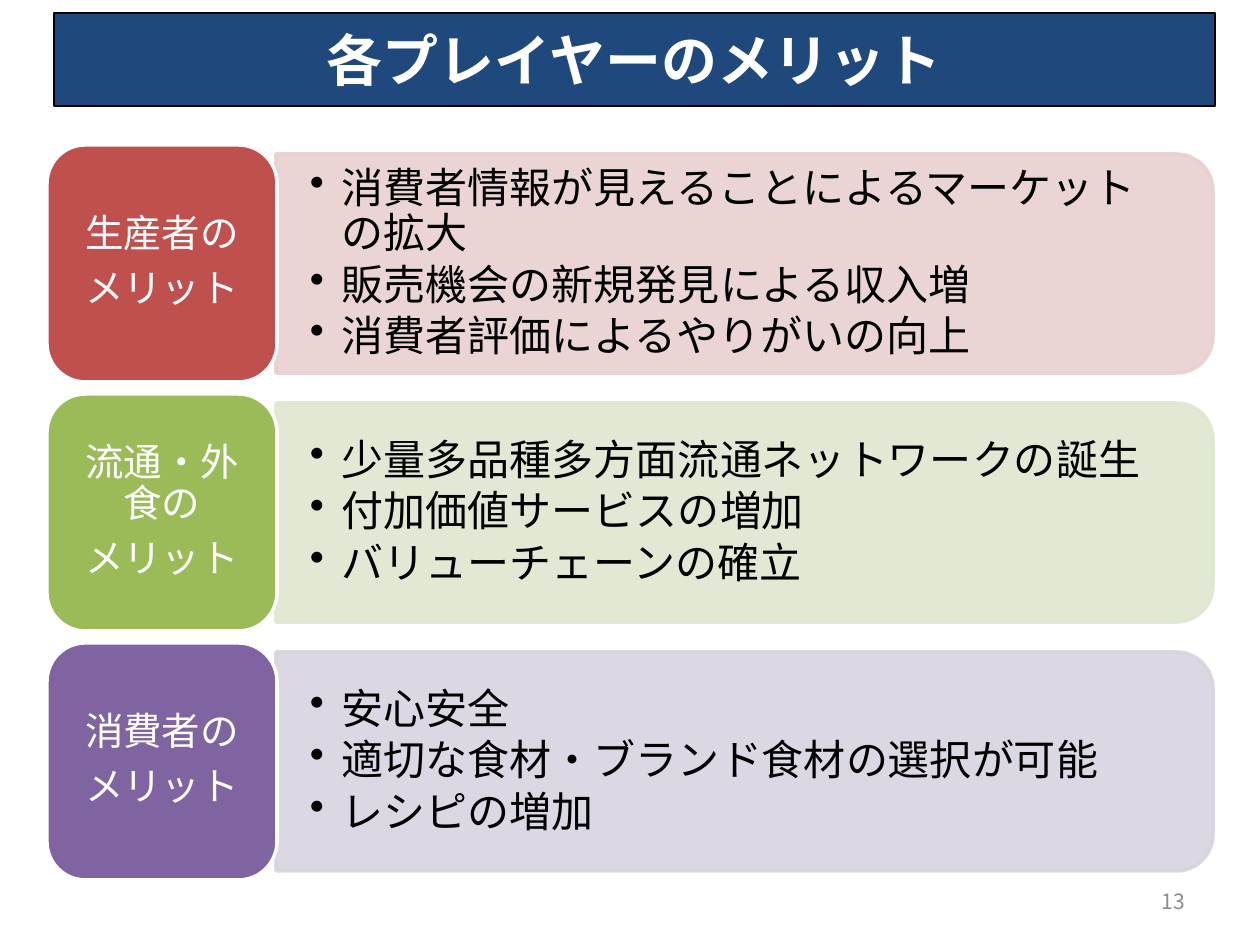
from dataclasses import dataclass

from lxml import etree
from pptx import Presentation
from pptx.dml.color import RGBColor
from pptx.enum.shapes import MSO_SHAPE
from pptx.enum.text import MSO_ANCHOR, PP_ALIGN
from pptx.oxml.ns import qn
from pptx.util import Emu, Pt

EMU_PER_PX = 914400 / 126
FONT = "Noto Sans CJK JP"
WHITE = RGBColor(0xFF, 0xFF, 0xFF)
BLACK = RGBColor(0x00, 0x00, 0x00)
GRAY = RGBColor(0x8C, 0x8C, 0x8C)
NAVY = RGBColor(0x1F, 0x49, 0x7D)
RED = RGBColor(0xC0, 0x50, 0x4D)
PALE_RED = RGBColor(0xE8, 0xD0, 0xD0)
GREEN = RGBColor(0x9B, 0xBB, 0x59)
PALE_GREEN = RGBColor(0xDE, 0xE7, 0xD1)
PURPLE = RGBColor(0x80, 0x64, 0xA2)
PALE_PURPLE = RGBColor(0xD8, 0xD3, 0xE0)

RECT = MSO_SHAPE.RECTANGLE
ROUNDED = MSO_SHAPE.ROUNDED_RECTANGLE
ROUND_TOP = MSO_SHAPE.ROUND_2_SAME_RECTANGLE
MIDDLE = MSO_ANCHOR.MIDDLE
LEFT, CENTER, RIGHT = PP_ALIGN.LEFT, PP_ALIGN.CENTER, PP_ALIGN.RIGHT

FIRST_ROW_TOP = 145
ROW_PITCH = 249
BULLET_INDENT = 32


@dataclass(frozen=True)
class Box:
    left: int
    top: int
    width: int
    height: int

    def emu(self) -> list[Emu]:
        return [px(v) for v in (self.left, self.top, self.width, self.height)]


@dataclass(frozen=True)
class TextStyle:
    size: int
    color: RGBColor
    align: PP_ALIGN = LEFT
    bold: bool = False
    line_spacing: float = 1.0
    space_after: float = 0
    bulleted: bool = False
    inset_x: int = 12
    inset_y: int = 6


@dataclass(frozen=True)
class Player:
    label: list[str]
    merits: list[str]
    color: RGBColor
    pale: RGBColor


TITLE = TextStyle(32, WHITE, CENTER, bold=True)
PAGE_NUMBER = TextStyle(12, GRAY, RIGHT)
LABEL = TextStyle(22, WHITE, CENTER, line_spacing=0.9, space_after=7.7)
MERITS = TextStyle(24, BLACK, line_spacing=0.9, space_after=3.6,
                   bulleted=True, inset_x=34, inset_y=18)

PLAYERS = [
    Player(["生産者の", "メリット"],
           ["消費者情報が見えることによるマーケットの拡大",
            "販売機会の新規発見による収入増",
            "消費者評価によるやりがいの向上"], RED, PALE_RED),
    Player(["流通・外食の", "メリット"],
           ["少量多品種多方面流通ネットワークの誕生",
            "付加価値サービスの増加",
            "バリューチェーンの確立"], GREEN, PALE_GREEN),
    Player(["消費者の", "メリット"],
           ["安心安全",
            "適切な食材・ブランド食材の選択が可能",
            "レシピの増加"], PURPLE, PALE_PURPLE),
]


def px(value: float) -> Emu:
    return Emu(round(value * EMU_PER_PX))


def add_bullet(paragraph) -> None:
    properties = paragraph._p.get_or_add_pPr()
    properties.set("marL", str(px(BULLET_INDENT)))
    properties.set("indent", str(-px(BULLET_INDENT)))
    etree.SubElement(properties, qn("a:buChar")).set("char", "•")


def write(shape, lines: list[str], style: TextStyle) -> None:
    frame = shape.text_frame
    frame.word_wrap = True
    frame.vertical_anchor = MIDDLE
    frame.margin_left = frame.margin_right = px(style.inset_x)
    frame.margin_top = frame.margin_bottom = px(style.inset_y)
    frame.text = "\n".join(lines)
    for paragraph in frame.paragraphs:
        paragraph.alignment = style.align
        paragraph.line_spacing = style.line_spacing
        paragraph.space_after = Pt(style.space_after)
        if style.bulleted:
            add_bullet(paragraph)
        for run in paragraph.runs:
            run.font.size = Pt(style.size)
            run.font.bold = style.bold
            run.font.color.rgb = style.color
            run.font.name = FONT
            east_asian = etree.SubElement(run._r.get_or_add_rPr(), qn("a:ea"))
            east_asian.set("typeface", FONT)


def add_text(slide, box: Box, lines: list[str], style: TextStyle) -> None:
    write(slide.shapes.add_textbox(*box.emu()), lines, style)


def add_panel(slide, kind: MSO_SHAPE, box: Box, fill: RGBColor,
              line: RGBColor, line_width: float):
    panel = slide.shapes.add_shape(kind, *box.emu())
    panel.shadow.inherit = False
    panel.fill.solid()
    panel.fill.fore_color.rgb = fill
    panel.line.color.rgb = line
    panel.line.width = Pt(line_width)
    return panel


def add_merit_bar(slide, box: Box, color: RGBColor) -> None:
    """Draw a translucent bar whose right-hand corners are rounded."""
    shift = (box.width - box.height) // 2
    upright = Box(box.left + shift, box.top - shift, box.height, box.width)
    bar = add_panel(slide, ROUND_TOP, upright, color, color, 2)
    bar.rotation = 90
    for rgb in bar._element.spPr.iter(qn("a:srgbClr")):
        etree.SubElement(rgb, qn("a:alpha")).set("val", "90000")


def add_player(slide, player: Player, top: int) -> None:
    add_merit_bar(slide, Box(276, top + 9, 937, 219), player.pale)
    add_text(slide, Box(276, top + 20, 926, 198), player.merits, MERITS)
    add_panel(slide, ROUNDED, Box(47, top, 230, 237), player.color, WHITE, 2)
    add_text(slide, Box(58, top + 11, 208, 214), player.label, LABEL)


def main() -> None:
    presentation = Presentation()
    presentation.slide_width = px(1260)
    presentation.slide_height = px(945)
    slide = presentation.slides.add_slide(presentation.slide_layouts[6])

    add_text(slide, Box(903, 876, 294, 50), ["13"], PAGE_NUMBER)
    banner = add_panel(slide, RECT, Box(54, 13, 1161, 93), NAVY, BLACK, 0.75)
    write(banner, ["各プレイヤーのメリット"], TITLE)
    for row, player in enumerate(PLAYERS):
        add_player(slide, player, FIRST_ROW_TOP + row * ROW_PITCH)

    presentation.save("out.pptx")


if __name__ == "__main__":
    main()
